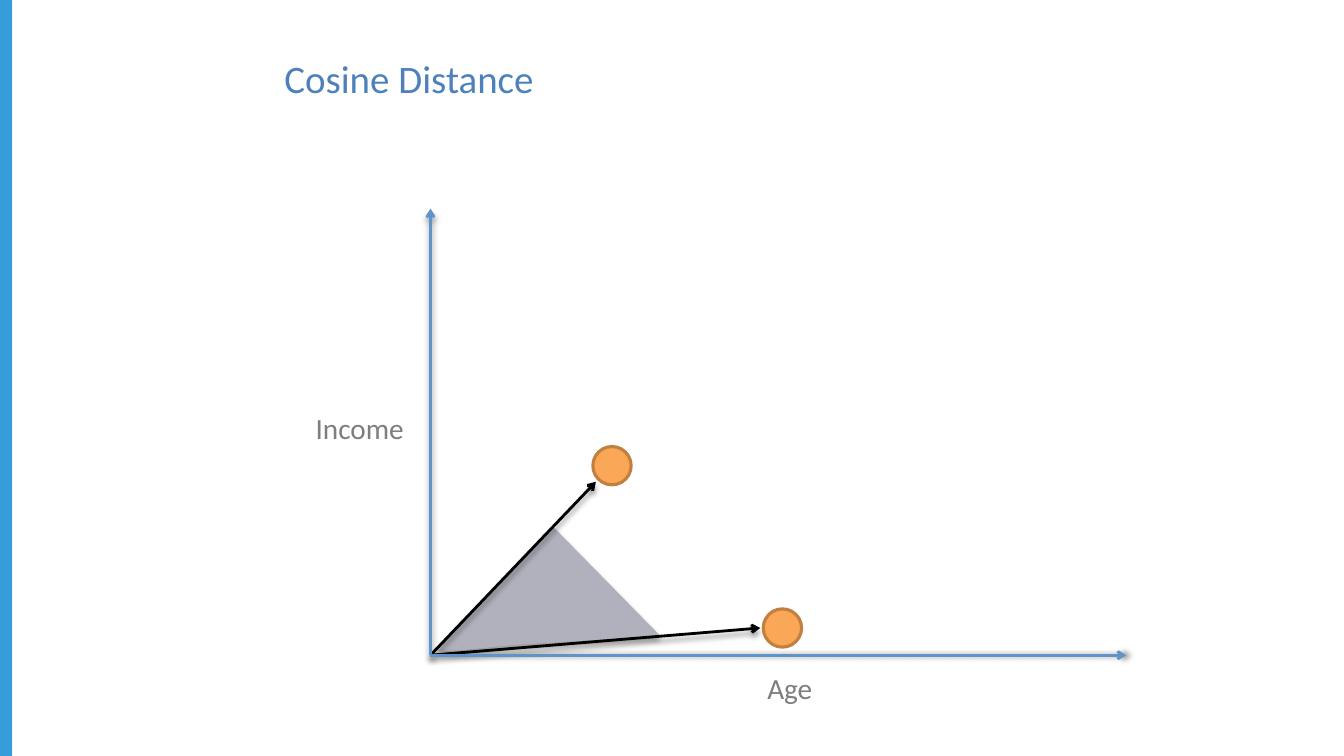
"""Builds the Cosine Distance slide: two vectors on Age and Income axes."""
from lxml import etree
from pptx import Presentation
from pptx.dml.color import RGBColor
from pptx.enum.shapes import MSO_CONNECTOR, MSO_SHAPE
from pptx.oxml.ns import qn
from pptx.util import Inches, Pt

LINE = MSO_CONNECTOR.STRAIGHT
OVAL = MSO_SHAPE.OVAL
RECT = MSO_SHAPE.RECTANGLE


def color(text):
    return RGBColor.from_string(text)


def shade(shape, angle):
    effects = etree.SubElement(shape._element.spPr, qn("a:effectLst"))
    cast = etree.SubElement(effects, qn("a:outerShdw"), blurRad=str(Pt(4)),
                            dist=str(Pt(3)), dir=str(angle * 60000), rotWithShape="0")
    tint = etree.SubElement(cast, qn("a:srgbClr"), val="000000")
    etree.SubElement(tint, qn("a:alpha"), val="40000")


deck = Presentation()
deck.slide_width, deck.slide_height = Inches(13.33), Inches(7.5)
slide = deck.slides.add_slide(deck.slide_layouts[6])
shapes = slide.shapes

bar = shapes.add_shape(RECT, 0, 0, Inches(0.12), Inches(7.5))
bar.shadow.inherit = False
bar.fill.solid()
bar.fill.fore_color.rgb = color("359ED8")
bar.line.fill.background()

corners = [(4.34, 6.46), (4.46, 6.3), (5.49, 5.23), (6.55, 6.31), (5.08, 6.4), (4.5, 6.46)]
points = [(Inches(x), Inches(y)) for x, y in corners]
pen = shapes.build_freeform(*points[0])
pen.add_line_segments(points[1:], close=True)
wedge = pen.convert_to_shape()
wedge.fill.solid()
wedge.fill.fore_color.rgb = color("B1B1BD")
wedge.line.fill.background()
shade(wedge, 90)

origin = Inches(4.27), Inches(6.5)
arrows = [
    (5.91, 4.78, "000000", 90),
    (7.54, 6.23, "000000", 90),
    (4.27, 2.07, "6094C9", 90),
    (11.17, 6.5, "6094C9", 0),
]
for x, y, hue, angle in arrows:
    arrow = shapes.add_connector(LINE, *origin, Inches(x), Inches(y))
    arrow.line.color.rgb = color(hue)
    arrow.line.width = Pt(2)
    etree.SubElement(arrow.line._get_or_add_ln(), qn("a:tailEnd"), type="arrow")
    shade(arrow, angle)

for x, y in [(7.57, 6.04), (5.88, 4.43)]:
    dot = shapes.add_shape(OVAL, Inches(x), Inches(y), Inches(0.38), Inches(0.38))
    dot.shadow.inherit = False
    dot.fill.solid()
    dot.fill.fore_color.rgb = color("FAA757")
    dot.line.color.rgb = color("C1803F")
    dot.line.width = Pt(2.25)

labels = [
    ("Cosine Distance", 2.81, 0.6, 8.61, 0.52, 48, 34, "4E81BC"),
    ("Income", 3.12, 4.11, 1.09, 0.36, 36, 26, "7F7E7E"),
    ("Age", 7.6, 6.69, 0.59, 0.36, 36, 26, "7F7E7E"),
]
for text, x, y, width, height, size, lead, hue in labels:
    box = shapes.add_textbox(Inches(x), Inches(y), Inches(width), Inches(height))
    frame = box.text_frame
    frame.word_wrap = True
    frame.margin_left = frame.margin_right = 0
    frame.margin_top = frame.margin_bottom = 0
    para = frame.paragraphs[0]
    run = para.add_run()
    run.text = text
    run._r.get_or_add_rPr().set("baseline", "2000")
    para.line_spacing = Pt(lead)
    para._p.get_or_add_pPr().set("marL", str(Inches(0.01)))
    para.font.name = "Calibri"
    para.font.size = Pt(size)
    para.font.color.rgb = color(hue)

deck.save("out.pptx")
